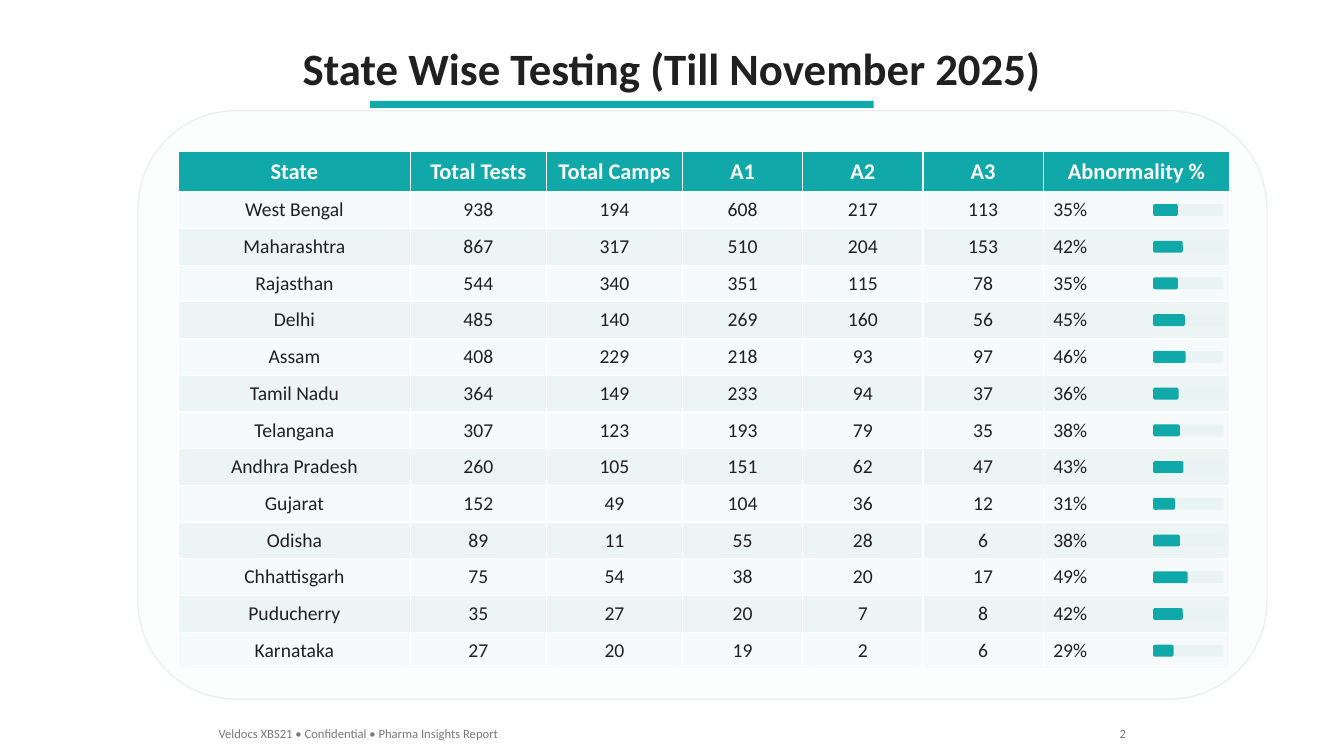
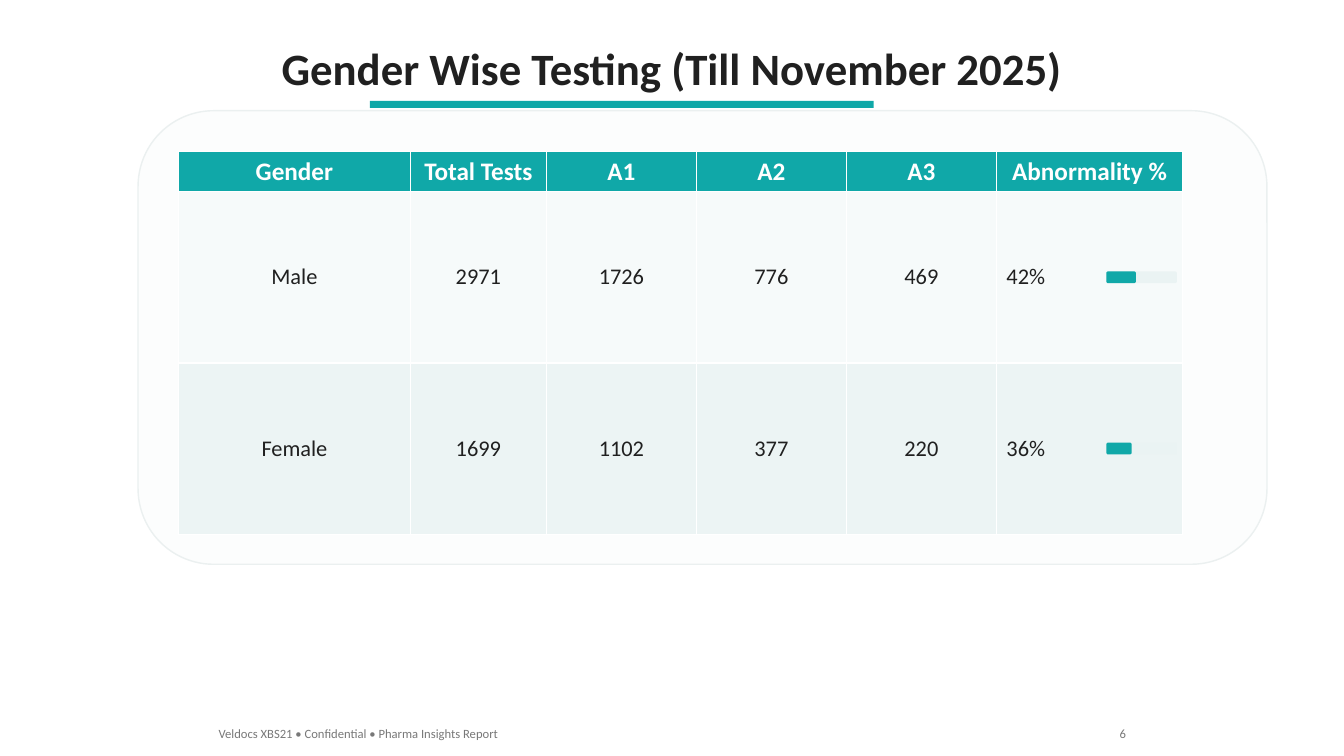
from pptx import Presentation
from pptx.dml.color import RGBColor
from pptx.enum import shapes, text
from pptx.util import Cm, Pt

# Shared look
WIDE, HIGH = 33.87, 19.05
FACE = "Calibri"
TEAL, INK, GREY, WHITE = "10A8A8", "202020", "787878", "FFFFFF"
CARD, EDGE, TRACK = "FCFDFD", "EBF0F0", "EAF3F3"
BANDS = ["F6FAFA", "ECF4F4"]
FOOT = "Veldocs XBS21 • Confidential • Pharma Insights Report"
LEFT, MID, RIGHT = text.PP_ALIGN.LEFT, text.PP_ALIGN.CENTER, text.PP_ALIGN.RIGHT
RECT, ROUND = shapes.MSO_SHAPE.RECTANGLE, shapes.MSO_SHAPE.ROUNDED_RECTANGLE

# Card box, table inset and bar sizes, in cm
CARD_X, CARD_Y, CARD_W = 3.48, 2.79, 28.45
INSET, SPARE, HEAD_H = 1.02, 1.78, 1.02
BAR_W, BAR_H, BAR_GAP = 1.78, 0.3, 0.15

STATES = [
    ("State", "Total Tests", "Total Camps", "A1", "A2", "A3", "Abnormality %"),
    ("West Bengal", 938, 194, 608, 217, 113, 35),
    ("Maharashtra", 867, 317, 510, 204, 153, 42),
    ("Rajasthan", 544, 340, 351, 115, 78, 35),
    ("Delhi", 485, 140, 269, 160, 56, 45),
    ("Assam", 408, 229, 218, 93, 97, 46),
    ("Tamil Nadu", 364, 149, 233, 94, 37, 36),
    ("Telangana", 307, 123, 193, 79, 35, 38),
    ("Andhra Pradesh", 260, 105, 151, 62, 47, 43),
    ("Gujarat", 152, 49, 104, 36, 12, 31),
    ("Odisha", 89, 11, 55, 28, 6, 38),
    ("Chhattisgarh", 75, 54, 38, 20, 17, 49),
    ("Puducherry", 35, 27, 20, 7, 8, 42),
    ("Karnataka", 27, 20, 19, 2, 6, 29),
]
GENDERS = [
    ("Gender", "Total Tests", "A1", "A2", "A3", "Abnormality %"),
    ("Male", 2971, 1726, 776, 469, 42),
    ("Female", 1699, 1102, 377, 220, 36),
]


def tint(code):
    return RGBColor.from_string(code)


def style(para, words, size, code, align, bold=False):
    para.text = words
    para.alignment = align
    font = para.font
    font.name, font.size, font.bold = FACE, Pt(size), bold
    font.color.rgb = tint(code)


def label(slide, box, words, size, code, align, bold=False):
    frame = slide.shapes.add_textbox(*map(Cm, box)).text_frame
    frame.word_wrap = False
    frame.auto_size = text.MSO_AUTO_SIZE.SHAPE_TO_FIT_TEXT
    style(frame.paragraphs[0], words, size, code, align, bold)


def block(slide, kind, box, fill, edge=None):
    shape = slide.shapes.add_shape(kind, *map(Cm, box))
    shape.shadow.inherit = False
    shape.fill.solid()
    shape.fill.fore_color.rgb = tint(fill)
    if edge:
        shape.line.color.rgb = tint(edge)
        shape.line.width = Pt(1)
    else:
        shape.line.fill.background()


def header(slide, words, wide):
    label(slide, ((WIDE - wide) / 2, 0.89, wide, 1.63), words, 32, INK, MID, True)
    block(slide, RECT, (9.32, 2.54, 12.7, 0.18), TEAL)


def footer(slide, number):
    label(slide, (5.26, 18.16, 7.75, 0.64), FOOT, 9, GREY, LEFT)
    label(slide, (27.94, 18.16, 0.69, 0.64), str(number), 9, GREY, RIGHT)


def grid(slide, x, y, high, cols, rows, size):
    """Table with a header row; the last column holds percentages."""
    step = (high - HEAD_H) / (len(rows) - 1)
    box = (x, y, sum(cols), high)
    table = slide.shapes.add_table(len(rows), len(cols), *map(Cm, box)).table
    for col, wide in zip(table.columns, cols):
        col.width = Cm(wide)
    for r, row in enumerate(rows):
        head = r == 0
        table.rows[r].height = Cm(HEAD_H if head else step)
        for c, value in enumerate(row):
            rate = not head and c == len(cols) - 1
            cell = table.cell(r, c)
            cell.vertical_anchor = text.MSO_ANCHOR.MIDDLE
            cell.fill.solid()
            cell.fill.fore_color.rgb = tint(TEAL if head else BANDS[(r - 1) % 2])
            style(cell.text_frame.paragraphs[0],
                  f"{value}%" if rate else str(value),
                  size + 2 if head else size, WHITE if head else INK,
                  LEFT if rate else MID, head)
    # Bars beside the percentages
    left = x + sum(cols) - BAR_GAP - BAR_W
    for r, row in enumerate(rows[1:]):
        top = y + HEAD_H + (r + 0.5) * step - BAR_H / 2
        for part, fill in ((1, TRACK), (row[-1] / 100, TEAL)):
            block(slide, ROUND, (left, top, BAR_W * part, BAR_H), fill)


def page(deck, title, wide, high, cols, rows, size, number):
    slide = deck.slides.add_slide(deck.slide_layouts[6])
    header(slide, title, wide)
    block(slide, ROUND, (CARD_X, CARD_Y, CARD_W, high), CARD, EDGE)
    grid(slide, CARD_X + INSET, CARD_Y + INSET, high - SPARE, cols, rows, size)
    footer(slide, number)


def main():
    deck = Presentation()
    deck.slide_width, deck.slide_height = Cm(WIDE), Cm(HIGH)
    page(deck, "State Wise Testing (Till November 2025)", 19.3, 14.83,
         [5.84, 3.43, 3.43] + [3.03] * 3 + [4.7], STATES, 14, 2)
    page(deck, "Gender Wise Testing (Till November 2025)", 20.37, 11.43,
         [5.84, 3.43] + [3.78] * 3 + [4.7], GENDERS, 16, 6)
    deck.save("out.pptx")


if __name__ == "__main__":
    main()
